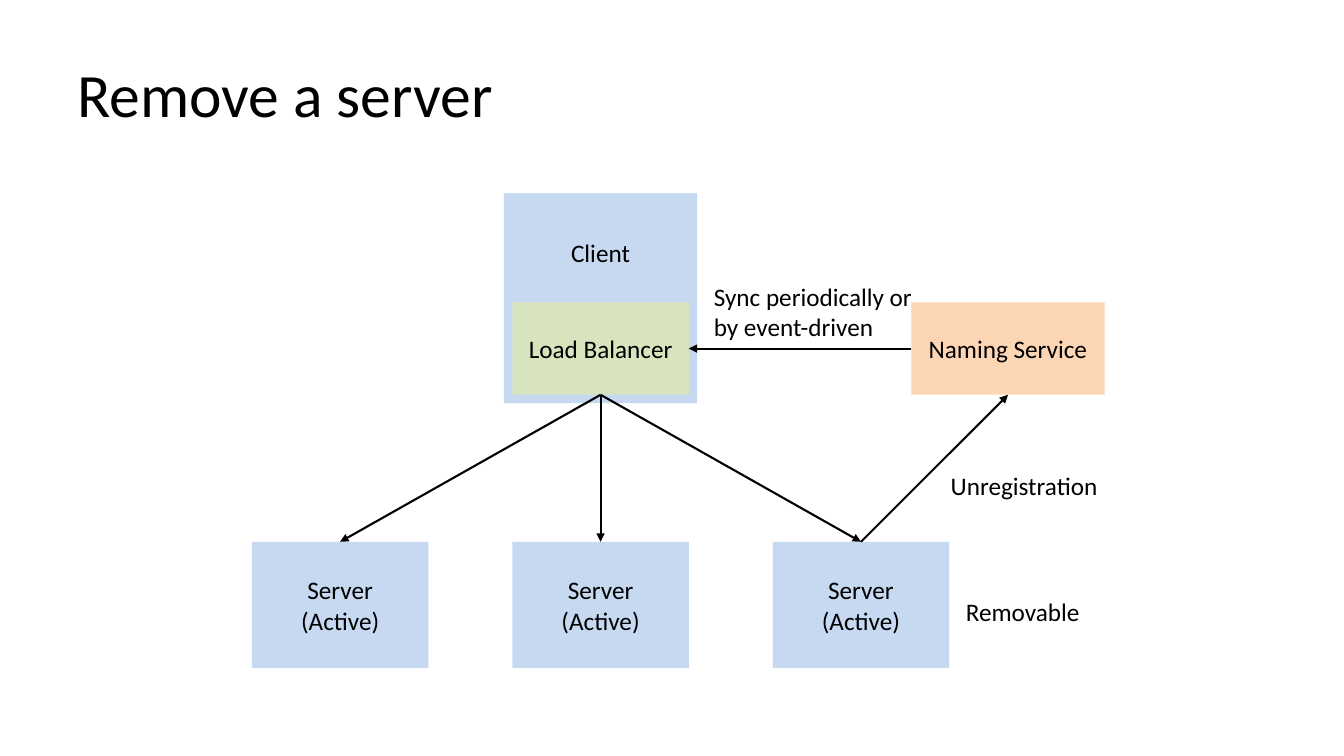
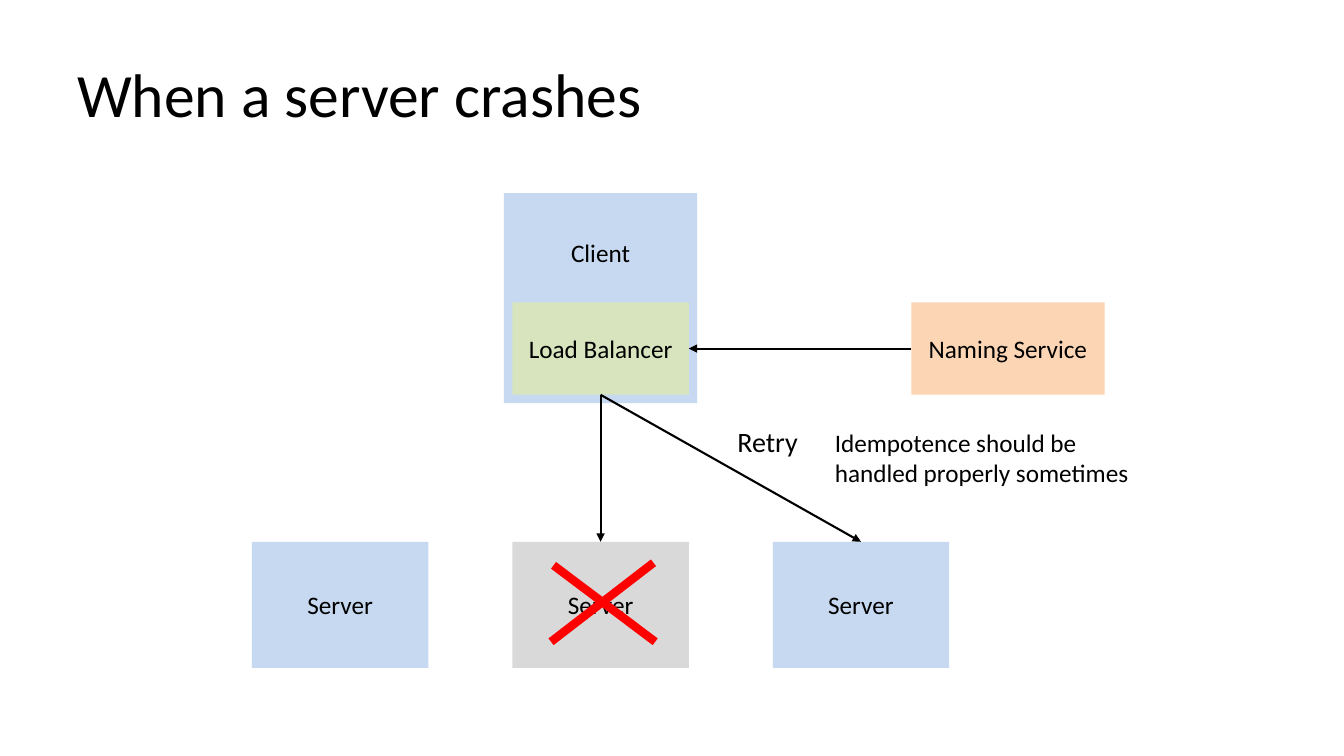
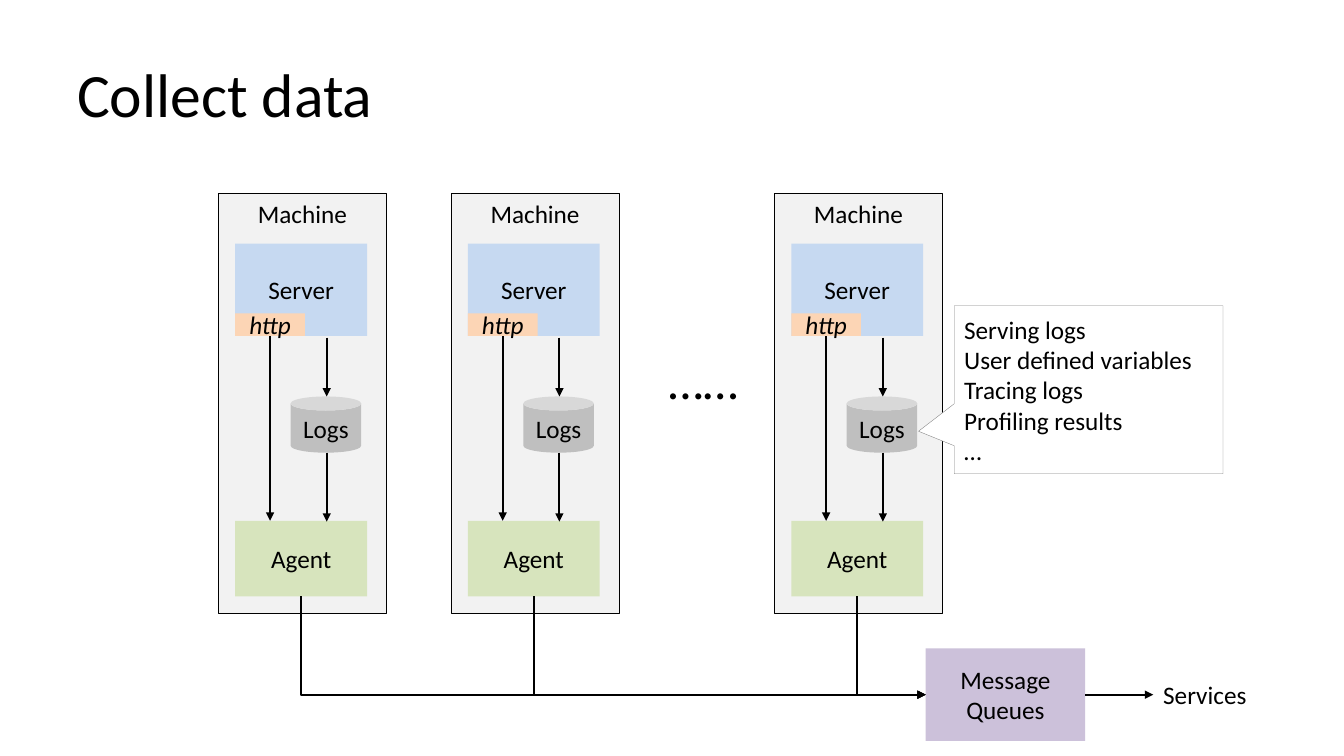
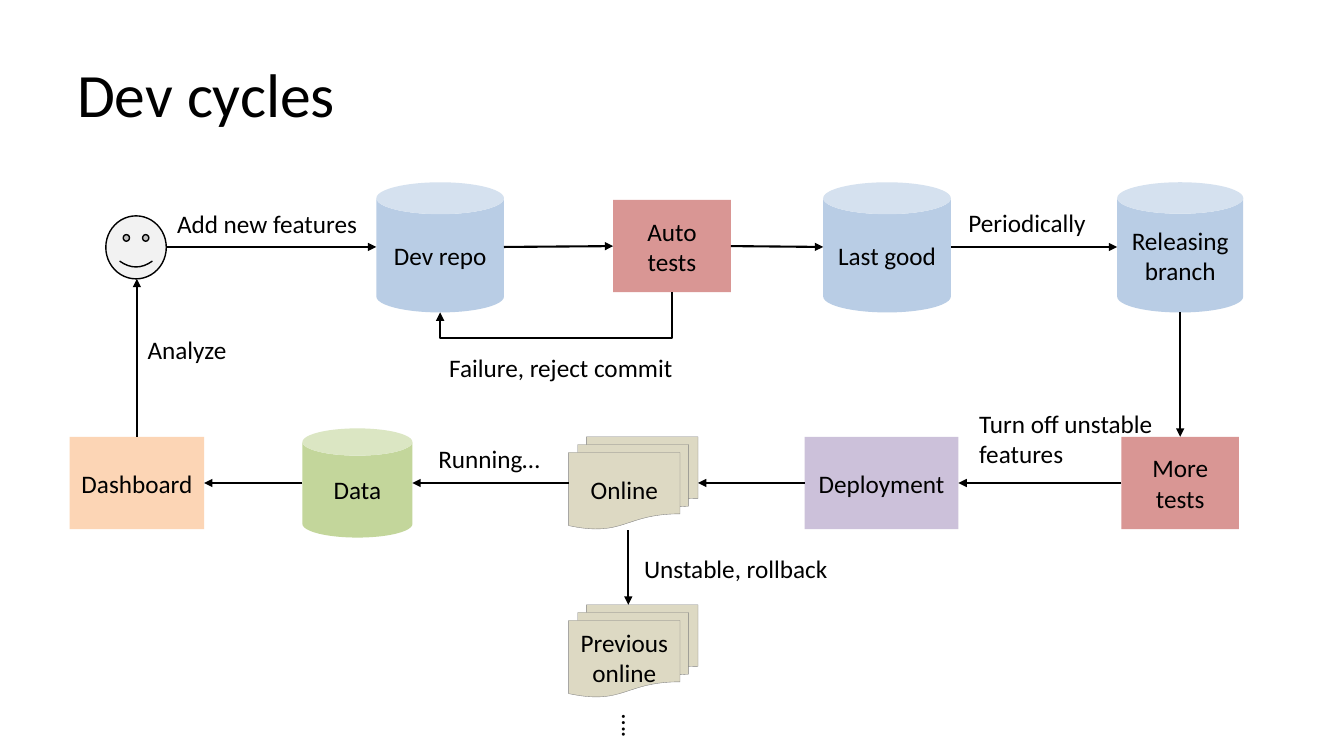
from lxml.etree import SubElement
from pptx import Presentation
from pptx.dml.color import RGBColor
from pptx.enum.shapes import MSO_CONNECTOR as CXN, MSO_SHAPE as SHAPE
from pptx.enum.text import MSO_ANCHOR as ANCHOR, PP_ALIGN as ALIGN
from pptx.oxml.ns import qn
from pptx.util import Inches, Pt

# The slide is a grid of 160 columns and 90 rows, one twelfth of an inch each.
U = Inches(1) // 12
COLS, ROWS = 160, 90

FONT = "Calibri"
BLACK = RGBColor(0x00, 0x00, 0x00)
WHITE = RGBColor(0xFF, 0xFF, 0xFF)
RED = RGBColor(0xFF, 0x00, 0x00)
GRAY = RGBColor(0x80, 0x80, 0x80)
SILVER = RGBColor(0xBF, 0xBF, 0xBF)
LIGHT_GRAY = RGBColor(0xD9, 0xD9, 0xD9)
PALE_GRAY = RGBColor(0xF2, 0xF2, 0xF2)
BLUE = RGBColor(0xB9, 0xCD, 0xE5)
PALE_BLUE = RGBColor(0xC6, 0xD9, 0xF1)
GREEN = RGBColor(0xC3, 0xD6, 0x9B)
PALE_GREEN = RGBColor(0xD7, 0xE4, 0xBD)
ORANGE = RGBColor(0xFC, 0xD5, 0xB5)
PURPLE = RGBColor(0xCC, 0xC1, 0xDA)
ROSE = RGBColor(0xD9, 0x96, 0x94)
TAN = RGBColor(0xDD, 0xD9, 0xC3)


def box(shapes, x, y, w, h, text="", fill=None, kind=SHAPE.RECTANGLE,
        edge=None, size=18, wrap=True):
    """Add a filled shape with centred text, or a plain label without a fill."""
    at = [round(v * U) for v in (x, y, w, h)]
    if fill is None:
        sp = shapes.add_textbox(*at)
    else:
        sp = shapes.add_shape(kind, *at)
        sp.shadow.inherit = False
        sp.fill.solid()
        sp.fill.fore_color.rgb = fill
        if edge:
            sp.line.color.rgb, sp.line.width = edge
        else:
            sp.line.fill.background()
    tf = sp.text_frame
    tf.word_wrap = wrap
    tf.vertical_anchor = ANCHOR.TOP if fill is None else ANCHOR.MIDDLE
    tf.text = text
    for p in tf.paragraphs:
        p.alignment = ALIGN.LEFT if fill is None else ALIGN.CENTER
        p.font.name, p.font.size, p.font.color.rgb = FONT, Pt(size), BLACK
    return sp


def link(shapes, start, end, color=BLACK, width=1.5, arrow=True, kind=CXN.STRAIGHT):
    """Connect two ends, each a (column, row) point or a (shape, site) joint."""
    joined = [hasattr(e[0], "left") for e in (start, end)]
    points = [(0, 0) if j else e for j, e in zip(joined, (start, end))]
    c = shapes.add_connector(kind, *[round(v * U) for pt in points for v in pt])
    if joined[0]:
        c.begin_connect(*start)
    if joined[1]:
        c.end_connect(*end)
    c.line.color.rgb, c.line.width = color, Pt(width)
    sppr = c._element.spPr
    if arrow:
        SubElement(sppr.find(qn("a:ln")), qn("a:tailEnd"), type="triangle")
    SubElement(sppr, qn("a:effectLst"))
    return c


prs = Presentation()
prs.slide_width, prs.slide_height = COLS * U, ROWS * U

pages = []
for title in ("Remove a server", "When a server crashes", "Collect data", "Dev cycles"):
    s = prs.slides.add_slide(prs.slide_layouts[6]).shapes
    sp = box(s, 8, 3.6, 144, 15, title, size=44)
    sp.text_frame.vertical_anchor = ANCHOR.MIDDLE
    pages.append(s)
removal, crash, collect, cycles = pages

# Slides 1 and 2: a client balancing load over three servers
for s, name, middle_fill, targets in (
    (removal, "Server\n(Active)", PALE_BLUE, (0, 1, 2)),
    (crash, "Server", LIGHT_GRAY, (1, 2)),
):
    naming = box(s, 108.5, 36, 23, 11, "Naming Service", ORANGE)
    client = box(s, 60, 23, 23, 25, "Client", PALE_BLUE)
    client.text_frame.margin_bottom = round(11.5 * U)
    balancer = box(s, 61, 36, 21, 11, "Load Balancer", PALE_GREEN)
    servers = [box(s, 30 + 31 * i, 64.5, 21, 15, name, fill)
               for i, fill in enumerate((PALE_BLUE, middle_fill, PALE_BLUE))]
    link(s, (naming, 1), (balancer, 3))
    for i in targets:
        link(s, (balancer, 2), (servers[i], 0))
    if s is removal:
        link(s, (servers[2], 0), (naming, 2))

for x, y, w, h, text in (
    (112, 55.4, 26, 4.8, "Unregistration"),
    (83.8, 32.9, 26.4, 8.5, "Sync periodically or by event-driven"),
    (113.8, 70.4, 25.3, 4.8, "Removable"),
):
    box(removal, x, y, w, h, text)

for start, end in (((65.9, 67.3), (78, 76.4)), ((77.8, 67), (65.6, 76.4))):
    link(crash, start, end, RED, 6, arrow=False)
box(crash, 86.6, 50, 11.5, 5.3, "Retry", size=20)
box(crash, 98.2, 50.3, 38, 8.5, "Idempotence should be handled properly sometimes")

# Slide 3: machines feeding a message queue
elbows = []
queues = box(collect, 110.2, 77.2, 19, 11, "Message\nQueues", PURPLE)
box(collect, 78.4, 41, 10.8, 8.5, "……", size=36, wrap=False)
services = box(collect, 137.3, 80.3, 15.8, 4.8, "Services")
link(collect, (queues, 3), (services, 1))
for x in (26, 53.7, 92.2):
    g = collect.add_group_shape().shapes
    machine = box(g, x, 23, 20, 50, "Machine", PALE_GRAY, edge=(BLACK, Pt(0.25)))
    machine.text_frame.vertical_anchor = ANCHOR.TOP
    box(g, x + 2, 29, 15.7, 11, "Server", PALE_BLUE)
    box(g, x + 8.6, 47.2, 8.4, 6.7, "Logs", SILVER, SHAPE.CAN, wrap=False)
    agent = box(g, x + 2, 62, 15.7, 9, "Agent", PALE_GREEN)
    http = box(g, x + 2, 37.3, 8.3, 2.7, "http", ORANGE, wrap=False)
    http.text_frame.paragraphs[0].font.italic = True
    link(g, (x + 12.9, 40.2), (x + 12.9, 47.2))
    link(g, (x + 12.9, 53.9), (x + 12.9, 62.1))
    link(g, (http, 2), (x + 6.15, 62))
    feed = link(collect, (agent, 2), (queues, 1), kind=CXN.ELBOW)
    elbows.append((feed, "bentConnector2", {"rot": "16200000", "flipH": "1"}, None,
                   (x + 9.85, 71), (110.2, 82.7)))

note = box(collect, 113.6, 36.4, 32, 20,
           "Serving logs\nUser defined variables\nTracing logs\nProfiling results\n…",
           WHITE, SHAPE.RECTANGULAR_CALLOUT, (GRAY, Pt(0.25)))
note.adjustments[0], note.adjustments[1] = -0.633, 0.247
for p in note.text_frame.paragraphs:
    p.alignment = ALIGN.LEFT

# Slide 4: the development cycle
s = cycles
repo = box(s, 44.8, 21.7, 15.2, 15.5, "Dev repo", BLUE, SHAPE.CAN)
box(s, 98, 21.7, 15.2, 15.5, "Last good", BLUE, SHAPE.CAN)
box(s, 133, 21.7, 15, 15.5, "Releasing\nbranch", BLUE, SHAPE.CAN)
box(s, 36, 51, 13.1, 13, "Data", GREEN, SHAPE.CAN)
box(s, 12.6, 25.7, 7.2, 7.5, "", PALE_GRAY, SHAPE.SMILEY_FACE, (BLACK, Pt(1)))
auto = box(s, 73, 23.8, 14, 11, "Auto tests", ROSE)
more = box(s, 133.5, 52, 14, 11, "More\ntests", ROSE)
deploy = box(s, 95.8, 52, 18.3, 11, "Deployment", PURPLE)
dashboard = box(s, 8.3, 52, 16, 11, "Dashboard", ORANGE)
for y, text in ((52, "Online"), (72, "Previous online")):
    box(s, 67.7, y, 15.4, 11, text, TAN, SHAPE.FLOWCHART_MULTIDOCUMENT, (GRAY, Pt(0.25)))

for start, end in (
    ((19.8, 29.4), (44.8, 29.4)),
    ((60, 29.4), (auto, 1)),
    ((auto, 3), (98, 29.4)),
    ((113.2, 29.4), (133, 29.4)),
    ((140.5, 37.2), (more, 0)),
    ((more, 1), (deploy, 3)),
    ((deploy, 1), (83.1, 57.5)),
    ((67.7, 57.5), (49.1, 57.5)),
    ((36, 57.5), (dashboard, 3)),
    ((dashboard, 0), (16.3, 33.2)),
    ((74.8, 63.1), (74.8, 72)),
):
    link(s, start, end)
reject = link(s, (auto, 2), (repo, 3), kind=CXN.ELBOW)
elbows.append((reject, "bentConnector3", {"rot": "5400000"}, 225000,
               (80, 34.8), (52.4, 37.2)))

for x, y, w, h, text in (
    (19.9, 24.2, 27.8, 4.8, "Add new features"),
    (114.1, 24.1, 26.4, 4.8, "Periodically"),
    (16.4, 39.2, 23.5, 4.8, "Analyze"),
    (52.3, 41.4, 29.3, 4.8, "Failure, reject commit"),
    (51, 52.2, 30.5, 4.8, "Running…"),
    (75.5, 65.3, 24.5, 4.8, "Unstable, rollback"),
    (115.4, 48, 23.5, 8.5, "Turn off unstable features"),
):
    box(s, x, y, w, h, text)
box(s, 72.6, 84.1, 5.3, 4.8, "….", wrap=False).rotation = 90

# Elbows leave downwards, so each is laid out on its side and turned
for c, preset, turn, bend, (x1, y1), (x2, y2) in elbows:
    dx, dy = abs(x2 - x1), y2 - y1
    c.left, c.top = round((x1 + x2 - dy) / 2 * U), round((y1 + y2 - dx) / 2 * U)
    c.width, c.height = round(dy * U), round(dx * U)
    sppr = c._element.spPr
    xfrm, geom = sppr.find(qn("a:xfrm")), sppr.find(qn("a:prstGeom"))
    xfrm.attrib.clear()
    xfrm.attrib.update(turn)
    geom.set("prst", preset)
    if bend:
        SubElement(geom.find(qn("a:avLst")), qn("a:gd"), name="adj1", fmla=f"val {bend}")

prs.save("out.pptx")
